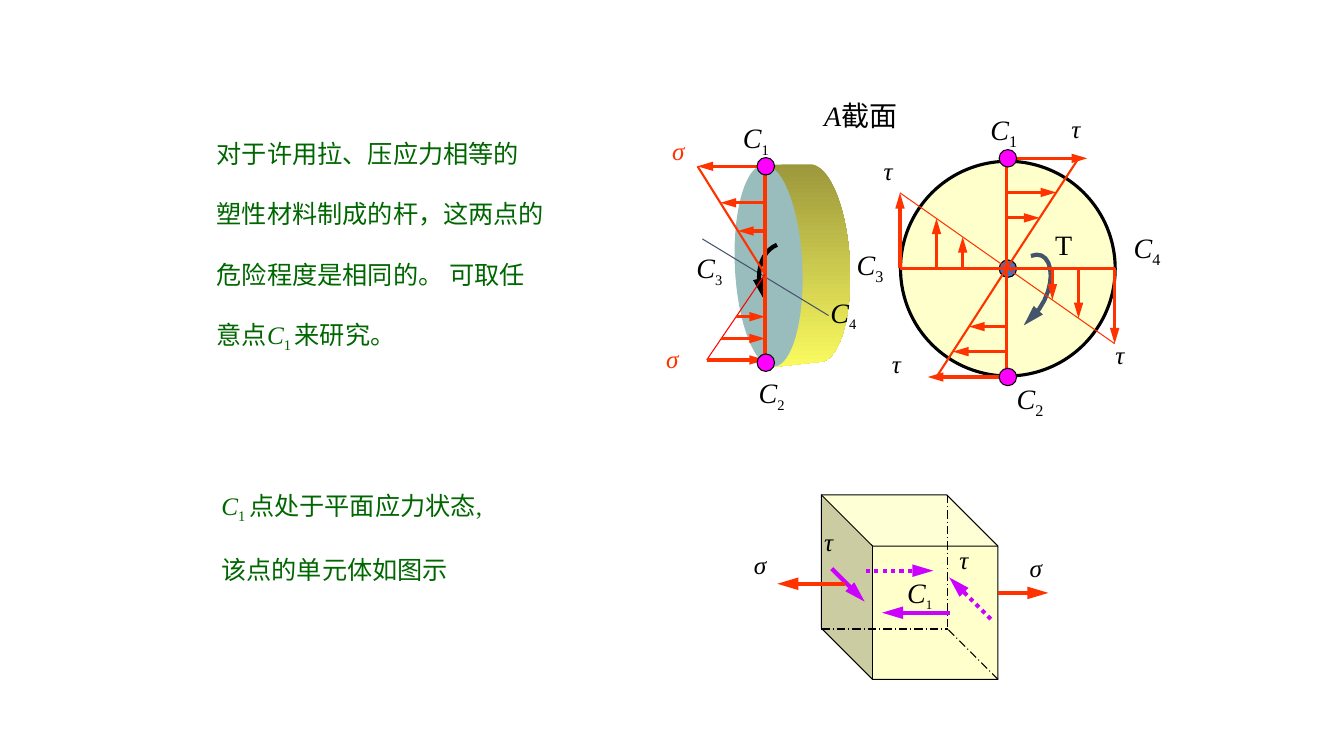
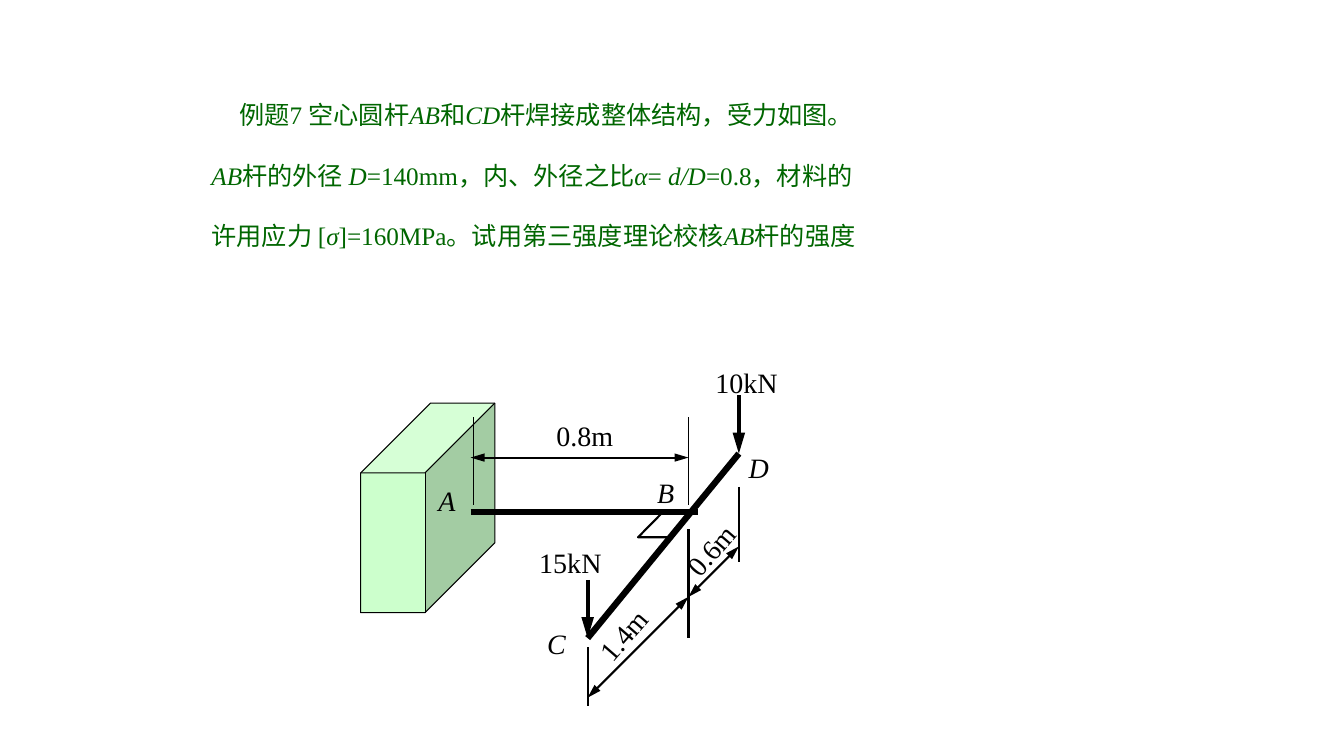
from math import cos, pi, sin

from lxml.etree import SubElement
from pptx import Presentation
from pptx.dml.color import RGBColor
from pptx.enum.dml import MSO_LINE
from pptx.enum.shapes import MSO_CONNECTOR, MSO_SHAPE
from pptx.enum.text import MSO_ANCHOR, PP_ALIGN
from pptx.oxml.ns import qn
from pptx.util import Cm, Pt

FONT = "Times New Roman"
BLACK = RGBColor(0x00, 0x00, 0x00)
GREEN = RGBColor(0x00, 0x66, 0x00)
ORANGE = RGBColor(0xFF, 0x33, 0x00)
RED = RGBColor(0xFF, 0x00, 0x00)
PURPLE = RGBColor(0xCC, 0x00, 0xFF)
MAGENTA = RGBColor(0xFF, 0x00, 0xFF)
SLATE = RGBColor(0x44, 0x54, 0x6A)
BLUE = RGBColor(0x44, 0x72, 0xC4)
CREAM = RGBColor(0xFF, 0xFF, 0xCC)
MINT = RGBColor(0xCC, 0xFF, 0xCC)
TEAL = RGBColor(0x99, 0xBD, 0xBD)
OLIVE = RGBColor(0x9C, 0x98, 0x3C)
YELLOW = RGBColor(0xFA, 0xFA, 0x60)

BODY, LABEL = 18, 20  # text sizes
THIN, MEDIUM, STRONG, HEAVY, BAR = 0.75, 1.5, 2.25, 3, 4.5  # line widths
ARROW, DOUBLE_ARROW = ("tailEnd",), ("headEnd", "tailEnd")
DOTTED, DASH_DOT = MSO_LINE.ROUND_DOT, MSO_LINE.LONG_DASH_DOT


def draw_line(page, points, color=BLACK, width=THIN, ends=(), dash=None):
    """Draw a connector through two points (cm), or an open outline through more."""
    corners = [(Cm(x), Cm(y)) for x, y in points]
    if len(corners) == 2:
        shape = page.shapes.add_connector(MSO_CONNECTOR.STRAIGHT, *corners[0], *corners[1])
    else:
        builder = page.shapes.build_freeform(*corners[0])
        builder.add_line_segments(corners[1:], close=False)
        shape = builder.convert_to_shape()
        shape.fill.background()
    shape.line.color.rgb = color
    shape.line.width = Pt(width)
    if dash is not None:
        shape.line.dash_style = dash
    properties = shape.element.spPr
    for end in ends:
        SubElement(properties.find(qn("a:ln")), qn(f"a:{end}"), type="triangle", w="med", len="lg")
    SubElement(properties, qn("a:effectLst"))


def write(page, x, y, lines, size=LABEL, color=BLACK, width=2.6, height=1.09, sub_size=None):
    """Add a text box; in a line "|" parts runs, "/" opens an italic one, "_" a subscript."""
    box = page.shapes.add_textbox(Cm(x), Cm(y), Cm(width), Cm(height))
    frame = box.text_frame
    frame.word_wrap = True
    frame.vertical_anchor = MSO_ANCHOR.TOP
    for number, line in enumerate(lines):
        para = frame.paragraphs[0] if number == 0 else frame.add_paragraph()
        para.alignment = PP_ALIGN.LEFT
        if number:
            para.space_before = Pt(21.5)
        for part in line.split("|"):
            span = para.add_run()
            span.text = part[1:] if part[0] in "/_" else part
            span.font.name = FONT
            span.font.size = Pt(size)
            span.font.color.rgb = color
            span.font.italic = part[0] == "/"
            if part[0] == "_":
                span.font.size = Pt(sub_size or size)
                span.font._element.set("baseline", "-25000")
    return box


deck = Presentation()
deck.slide_width, deck.slide_height = Cm(33.87), Cm(19.05)
stress_page, example_page = [deck.slides.add_slide(deck.slide_layouts[6]) for _ in range(2)]
painted = []  # (shape, fill, outline width): painted together at the end

# ---- Slide 1: explanation ----
page = stress_page
write(page, 5.21, 3.36, [
    "对于许用拉、压应力相等的",
    "塑性材料制成的杆，这两点的",
    "危险程度是相同的。 可取任",
    "意点|/C|_1 |来研究。",
], BODY, GREEN, 9.2, 5.64)
write(page, 5.33, 12.22, ["/C|_1 |点处于平面应力状态,", "该点的单元体如图示"],
      BODY, GREEN, 8, 2.57)

# ---- Slide 1: bar cut open, the side running from the face to the far rim ----
face_x, face_y, face_width, face_height = 19.37, 6.7, 1.7, 5.1
rim_x, rim_y, rim_width, rim_height = 20.54, 6.63, 1.76, 4.98
lean = 0.12  # how far the top leans left and the bottom right
outline = [(face_x - lean, face_y - face_height / 2)]
for step in range(41):
    angle = pi * (step / 40 - 0.5)
    outline.append((rim_x + rim_width / 2 * cos(angle) + lean * sin(angle),
                    rim_y + rim_height / 2 * sin(angle)))
outline.append((face_x + lean, face_y + face_height / 2))
corners = [(Cm(x), Cm(y)) for x, y in outline]
builder = page.shapes.build_freeform(*corners[0])
builder.add_line_segments(corners[1:])
side = builder.convert_to_shape()
side.shadow.inherit = False
side.line.fill.background()
side.fill.gradient()
side.fill.gradient_angle = 270
for stop, color in zip(side.fill.gradient_stops, (OLIVE, YELLOW)):
    stop.color.rgb = color

face = page.shapes.add_shape(MSO_SHAPE.OVAL, Cm(face_x - face_width / 2),
                             Cm(face_y - face_height / 2), Cm(face_width), Cm(face_height))
face.rotation = -2.7
painted.append((face, TEAL, 0))

# ---- Slide 1: round section with its hub ----
section_x, section_y, section_size = 25.4, 6.77, 5.41
dot_size = 0.44
for size, fill, width in ((section_size, CREAM, STRONG), (dot_size, BLUE, THIN)):
    disc = page.shapes.add_shape(MSO_SHAPE.OVAL, Cm(section_x - size / 2),
                                 Cm(section_y - size / 2), Cm(size), Cm(size))
    painted.append((disc, fill, width))

# ---- Slide 1: neutral line and curved moment arrows (cubic Bezier curves) ----
draw_line(page, [(17.7, 6.02), (20.88, 7.95)], SLATE)
bending_turn = (19.58, 6.17), (19.15, 6.35), (19, 6.96), (19.25, 7.54)
torque_turn = (25.98, 6.45), (26.6, 6.2), (26.75, 7.45), (25.8, 8.2)
for controls, color in ((bending_turn, BLACK), (torque_turn, SLATE)):
    curve = []
    for step in range(13):
        t = step / 12
        weights = (1 - t) ** 3, 3 * t * (1 - t) ** 2, 3 * t * t * (1 - t), t ** 3
        curve.append([sum(weight * control[axis] for weight, control in zip(weights, controls))
                      for axis in (0, 1)])
    draw_line(page, curve, color, HEAVY, ARROW)

# ---- Slide 1: stress diagrams; stress grows linearly from zero to the rim ----
bending_zero = axis_x, _ = 19.28, 6.91
torsion_zero = centre_x, centre_y = 25.37, 6.76
top, bottom = 3.99, 9.5
left, right = 22.68, 28.09
draw_line(page, [(axis_x, 4.19), (axis_x, 9.07)], ORANGE, HEAVY)
draw_line(page, [(centre_x, top), (centre_x, bottom)], ORANGE, STRONG)
draw_line(page, [(left, centre_y), (right, centre_y)], ORANGE, STRONG)

# Horizontal arrows: inner ones end on the slanted line, the outermost overshoots it
for zero, peak, overshoot, inner_levels, points_inward, color, width in (
    (bending_zero, (17.58, 4.19), 0, (5.11, 5.82), False, ORANGE, MEDIUM),
    (bending_zero, (17.81, 9.07), 0, (7.98, 8.53), True, RED, THIN),
    (torsion_zero, (27.18, top), 0.22, (4.85, 5.49), False, ORANGE, MEDIUM),
    (torsion_zero, (23.6, bottom), -0.22, (8.23, 8.86), False, ORANGE, MEDIUM),
):
    (zero_x, zero_y), (peak_x, peak_y) = zero, peak
    slope = (peak_x - zero_x) / (peak_y - zero_y)
    draw_line(page, [zero, peak], color, width)
    tips = [(peak_x + overshoot, peak_y)]
    tips += [(zero_x + slope * (level - zero_y), level) for level in inner_levels]
    for tip_x, level in tips:
        ends = [(zero_x, level), (tip_x, level)]
        draw_line(page, ends[::-1] if points_inward else ends, ORANGE, STRONG, ARROW)

# Vertical arrows along the horizontal diameter
rise = 1.9
slope = 2 * rise / (right - left)
draw_line(page, [(left, centre_y - rise), (right, centre_y + rise)], ORANGE)
for place in (left, 23.6, 24.26, 26.52, 27.18, right):
    tip_y = centre_y + slope * (place - (left + right) / 2)
    draw_line(page, [(place, centre_y), (place, tip_y)], ORANGE, STRONG, ARROW)

# Danger points C1 and C2 on both drawings
for x, levels in ((19.3, (4.19, 9.14)), (section_x, (top, bottom))):
    for y in levels:
        dot = page.shapes.add_shape(MSO_SHAPE.OVAL, Cm(x - dot_size / 2), Cm(y - dot_size / 2),
                                    Cm(dot_size), Cm(dot_size))
        painted.append((dot, MAGENTA, THIN))

# ---- Slide 1: stress element ----
cube_x, cube_y, cube_width, cube_height, cube_depth = 20.7, 12.47, 4.45, 4.65, 1.27
cube_right, cube_bottom = cube_x + cube_width, cube_y + cube_height
element = page.shapes.add_shape(MSO_SHAPE.CUBE, Cm(cube_x), Cm(cube_y),
                                Cm(cube_width), Cm(cube_height))
element.adjustments[0] = 0.29
element.element.spPr.xfrm.set("flipH", "1")
painted.append((element, CREAM, THIN))

hidden_x, hidden_y = hidden_corner = cube_right - cube_depth, cube_bottom - cube_depth
for neighbour in ((hidden_x, cube_y), (cube_x, hidden_y), (cube_right, cube_bottom)):
    draw_line(page, [neighbour, hidden_corner], dash=DASH_DOT)

for start, (run, drop), color, dash in (
    ((21.82, 14.38), (1.7, 0), PURPLE, DOTTED),
    ((23.93, 15.44), (-1.7, 0), PURPLE, None),
    ((20.96, 14.33), (0.83, 0.83), PURPLE, None),
    ((24.97, 15.6), (-1.05, -1.05), PURPLE, DOTTED),
    ((21.29, 14.71), (-1.7, 0), ORANGE, None),
    ((cube_right, 14.94), (1.27, 0), ORANGE, None),
):
    draw_line(page, [start, (start[0] + run, start[1] + drop)], color, HEAVY, ARROW, dash)

# ---- Slide 1: labels ----
write(page, 20.52, 2.36, ["/A|截面"], width=3.81)
write(page, 26.34, 5.61, ["T"])
bar_points = (18.47, 2.92), (18.87, 9.35), (17.3, 6.2), (20.68, 7.32)
section_points = (24.71, 2.72), (25.37, 9.5), (21.34, 6.12), (28.32, 5.69)
element_points = ((22.61, 14.38),)
for places, sub_size in ((bar_points, 18), (section_points, 20), (element_points, 16)):
    for number, (x, y) in enumerate(places, 1):
        write(page, x, y, [f"/C|_{number}"], sub_size=sub_size)

bar_sigmas = (16.69, 3.28), (16.54, 8.53)
element_sigmas = (18.75, 13.72), (25.7, 13.79)
section_taus = (22.02, 3.78), (26.75, 2.72), (22.23, 8.66), (27.86, 8.43)
element_taus = (20.52, 13.13), (23.93, 13.59)
for letter, places, color in (
    ("σ", bar_sigmas, ORANGE),
    ("σ", element_sigmas, BLACK),
    ("τ", section_taus + element_taus, BLACK),
):
    for x, y in places:
        write(page, x, y, [f"/{letter}"], BODY, color)

# ---- Slide 2: exercise ----
page = example_page
exercise = write(page, 5.08, 2.39, [
    "例题7 空心圆杆|/AB|和|/CD|杆焊接成整体结构，受力如图。",
    "/AB|杆的外径 |/D|=140mm，内、外径之比|/α|= |/d/D|=0.8，材料的",
    "许用应力 [|/σ|]=160MPa。试用第三强度理论校核|/AB|杆的强度",
], BODY, GREEN, 23.85, 4.11)
exercise.text_frame.paragraphs[0]._p.get_or_add_pPr().set("indent", str(Cm(0.7)))

# ---- Slide 2: wall, bars and loads ----
wall = page.shapes.add_shape(MSO_SHAPE.CUBE, Cm(9.09), Cm(10.16), Cm(3.38), Cm(5.28))
wall.adjustments[0] = 0.52
painted.append((wall, MINT, THIN))

a_x, b_x, c_x, d_x = 11.86, 17.35, 14.81, 18.62
ab_y, c_y, d_y = 12.9, 16.08, 11.43
load_length = 1.47
draw_line(page, [(a_x, ab_y), (b_x + 0.23, ab_y)], width=BAR)
draw_line(page, [(c_x, c_y), (d_x, d_y)], width=BAR)
for x, y in ((c_x, c_y), (d_x, d_y)):
    draw_line(page, [(x, y - load_length), (x, y)], width=HEAVY, ends=ARROW)
draw_line(page, [(16.71, ab_y), (16.08, 13.54), (16.94, 13.54)], width=MEDIUM)  # right angle

# ---- Slide 2: dimensions ----
for x, start_y, end_y, width in (
    (a_x + 0.08, 10.52, 12.73, THIN),
    (b_x, 10.52, 12.73, THIN),
    (b_x, 13.34, 16.08, MEDIUM),
    (c_x, 16.31, 17.78, MEDIUM),
    (d_x, 12.27, 14.17, MEDIUM),
):
    draw_line(page, [(x, start_y), (x, end_y)], width=width)
span_ab = (a_x, 11.53), (b_x, 11.53)
span_cb = (c_x, 17.58), (b_x, 15.04)
span_bd = (b_x, 15.04), (d_x, 13.77)
for ends in (span_ab, span_cb, span_bd):
    draw_line(page, ends, width=MEDIUM, ends=DOUBLE_ARROW)

for text, x, y, turn in (
    ("/A", 10.8, 12.07, 0), ("/B", 16.31, 11.86, 0),
    ("/C", 13.54, 15.67, 0), ("/D", 18.62, 11.23, 0),
    ("15kN", 13.34, 13.61, 0), ("10kN", 17.78, 9.09, 0), ("0.8m", 13.77, 10.41, 0),
    ("1.4m", 14.61, 15.2, -49), ("0.6m", 16.82, 13.05, -49),
):
    write(page, x, y, [text]).rotation = turn

# ---- Fill and outline of all preset shapes ----
for shape, fill, width in painted:
    shape.shadow.inherit = False
    shape.fill.solid()
    shape.fill.fore_color.rgb = fill
    if width:
        shape.line.color.rgb = BLACK
        shape.line.width = Pt(width)
    else:
        shape.line.fill.background()

deck.save("out.pptx")
